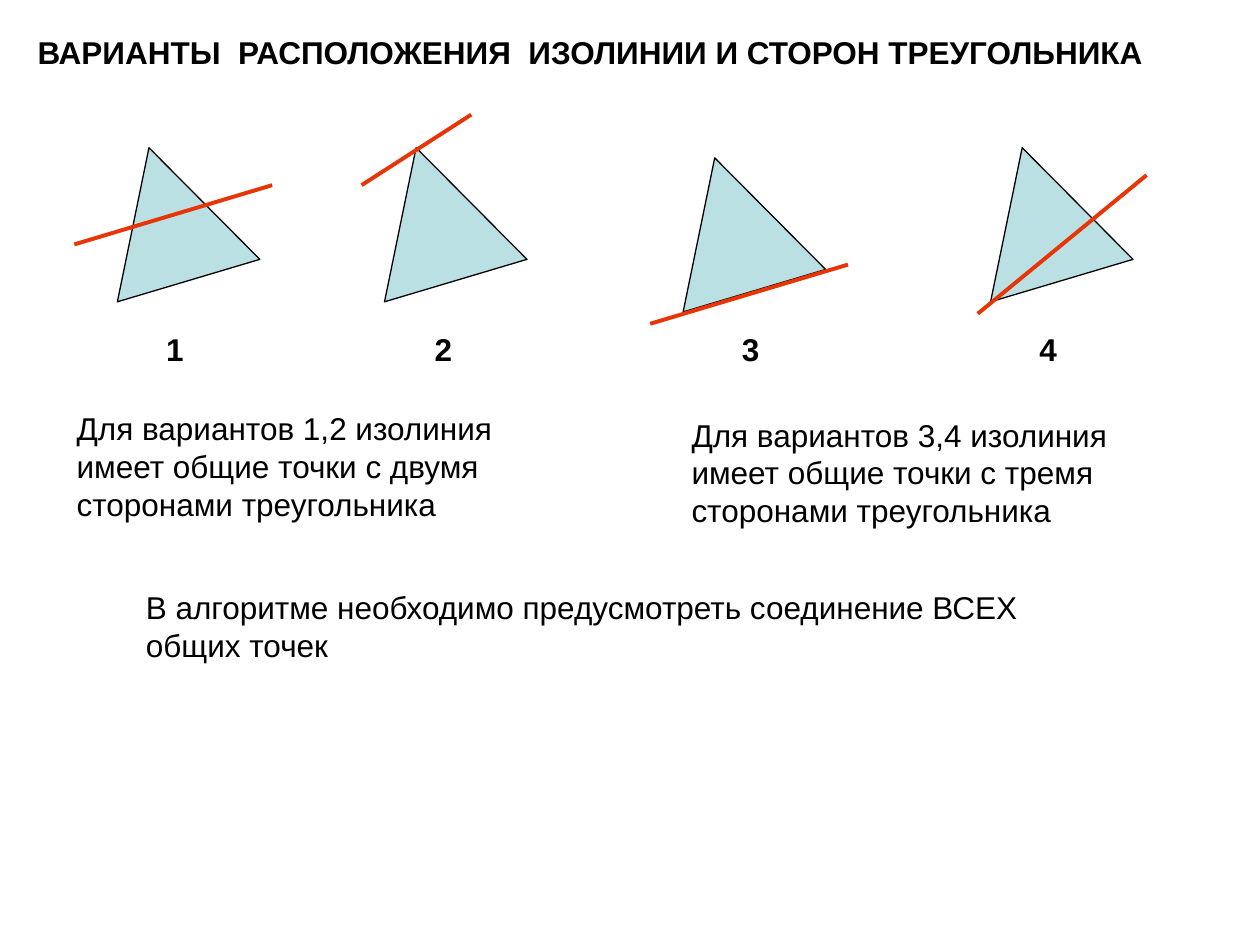
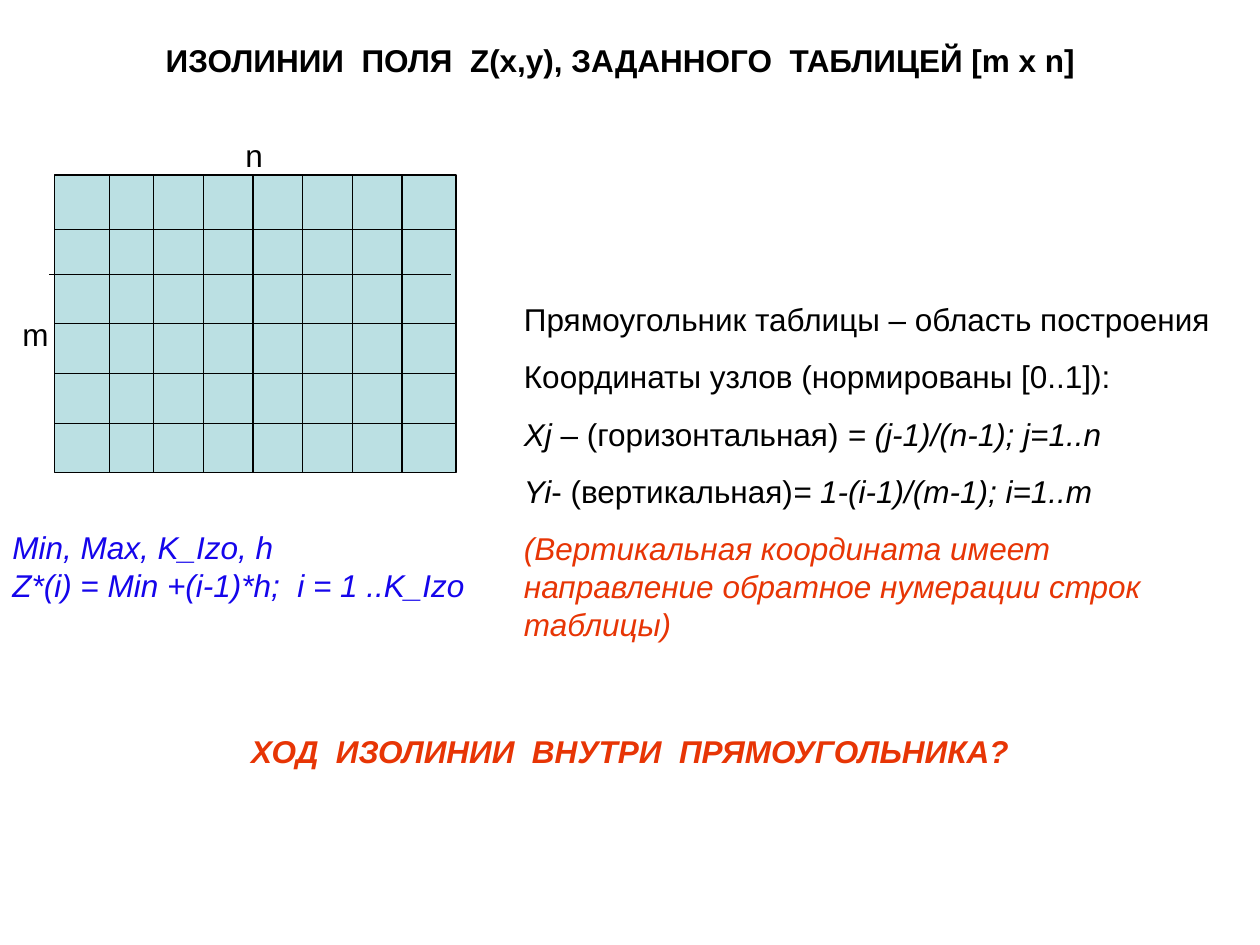
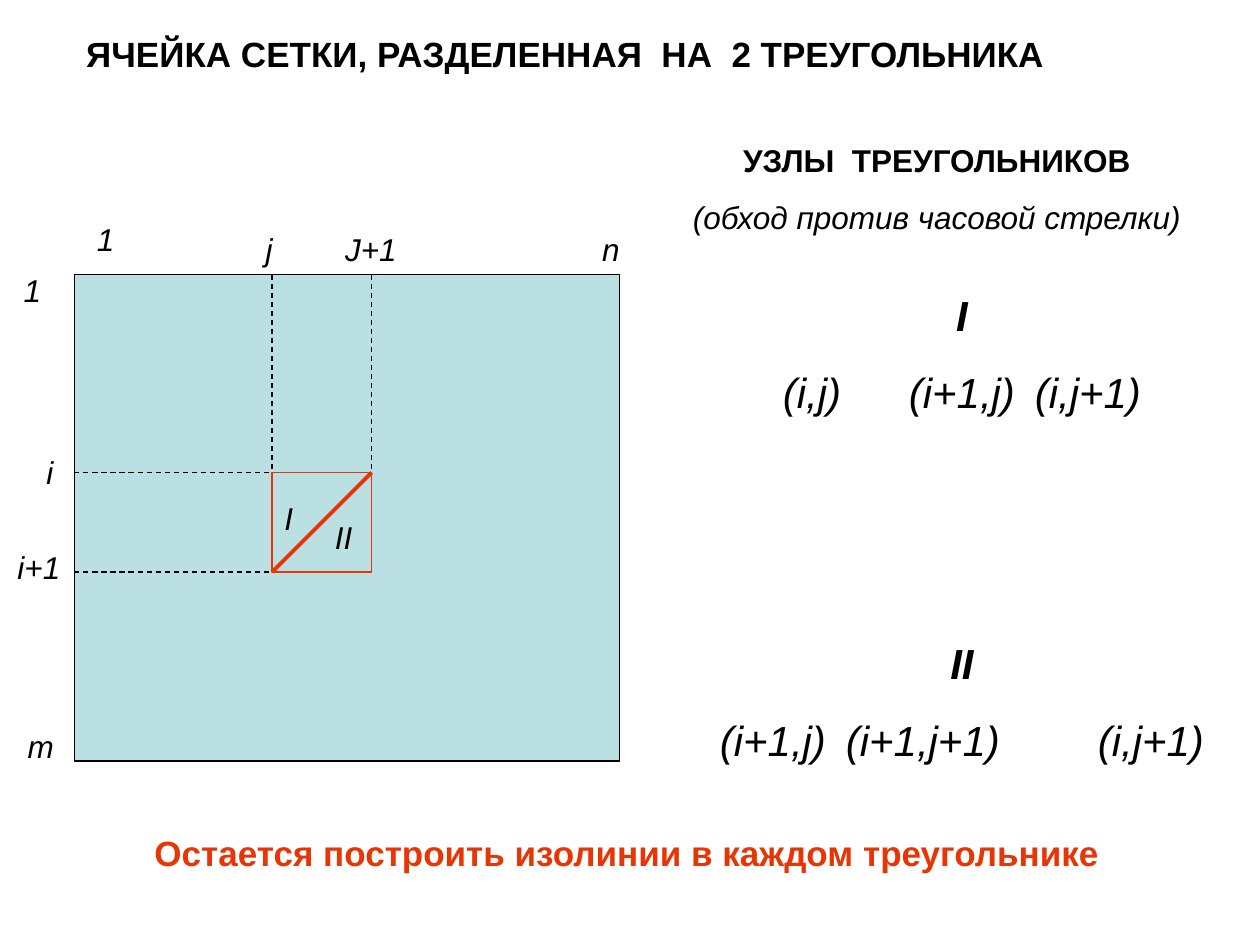
"""Build three slides on isolines crossing triangles and grid cells."""
from lxml.etree import SubElement
from pptx import Presentation
from pptx.dml.color import RGBColor
from pptx.enum.dml import MSO_LINE_DASH_STYLE as Dash
from pptx.enum.shapes import MSO_CONNECTOR as Connector, MSO_SHAPE as Shape
from pptx.enum.text import PP_ALIGN as Align
from pptx.oxml.ns import qn
from pptx.util import Inches, Pt

BLACK = RGBColor(0x00, 0x00, 0x00)
WHITE = RGBColor(0xFF, 0xFF, 0xFF)
AQUA = RGBColor(0xBB, 0xE0, 0xE3)
RED = RGBColor(0xE7, 0x35, 0x05)
BLUE = RGBColor(0x15, 0x05, 0xEB)
TITLE_SIZE = 20
FORMULA_SIZE = 24


class Painter:
    """Holds the shared style and draws on the current slide."""

    face = "Arial"
    size = 18
    thin = 0.75
    thick = 2.25

    def __init__(self):
        """Open an empty 10 by 7.5 inch deck."""
        self.deck = Presentation()
        self.deck.slide_width = Inches(10)
        self.deck.slide_height = Inches(7.5)
        self.page = None

    def new_page(self):
        """Start a blank white slide."""
        self.page = self.deck.slides.add_slide(self.deck.slide_layouts[6])
        self.page.background.fill.solid()
        self.page.background.fill.fore_color.rgb = WHITE

    def style(self, para, size, color, bold, italic):
        """Set the font of a whole paragraph."""
        font = para.font
        font.name, font.size = self.face, Pt(size)
        font.bold, font.italic = bold, italic
        font.color.rgb = color

    def text(self, left, top, width, height, *lines, size=size, color=BLACK,
             bold=False, italic=False, center=False, gap=11.2):
        """Add a text box with one paragraph for each line and return its paragraphs."""
        box = self.page.shapes.add_textbox(
            Inches(left), Inches(top), Inches(width), Inches(height))
        frame = box.text_frame
        frame.word_wrap = True
        for index, line in enumerate(lines):
            para = frame.add_paragraph() if index else frame.paragraphs[0]
            para.alignment = Align.CENTER if center else Align.LEFT
            para.space_before = Pt(gap if index else 0)
            self.style(para, size, color, bold, italic)
            para.add_run().text = line
        return frame.paragraphs

    def label(self, left, top, width, line, **look):
        """Add a one-line text box."""
        self.text(left, top, width, 0.4, line, **look)

    def shape(self, kind, left, top, width, height, color=BLACK, rotation=0):
        """Add an aqua shape with a thin outline."""
        shape = self.page.shapes.add_shape(
            kind, Inches(left), Inches(top), Inches(width), Inches(height))
        shape.shadow.inherit = False
        shape.rotation = rotation
        shape.fill.solid()
        shape.fill.fore_color.rgb = AQUA
        shape.line.color.rgb = color
        shape.line.width = Pt(self.thin)
        return shape

    def line(self, x1, y1, x2, y2, color=BLACK, weight=thin, dash=None):
        """Add a straight line without a shadow."""
        line = self.page.shapes.add_connector(
            Connector.STRAIGHT, Inches(x1), Inches(y1), Inches(x2), Inches(y2))
        line.line.color.rgb = color
        line.line.width = Pt(weight)
        if dash:
            line.line.dash_style = dash
        SubElement(line._element.spPr, qn("a:effectLst"))
        return line

    def isoline(self, *ends):
        """Add a thick red line."""
        return self.line(*ends, color=RED, weight=self.thick)

    def nodes(self, top, name, *points):
        """List the nodes of a triangle under its number."""
        heading, row = self.text(5.47, top, 4.33, 1.11, name, "\t".join(points),
                                 size=FORMULA_SIZE, italic=True, center=True, gap=15)
        heading.font.bold = True
        stops = SubElement(row._p.get_or_add_pPr(), qn("a:tabLst"))
        row._p.pPr.insert(1, stops)
        for inch in range(8):
            SubElement(stops, qn("a:tab"), pos=str(Inches(inch)), algn="l")


def spread(first, last, count):
    """Return evenly spaced positions from first to last."""
    return [first + (last - first) * index / (count - 1) for index in range(count)]


def draw_variants(painter):
    """Show four positions of an isoline against a triangle."""
    painter.new_page()
    painter.label(0.2, 0.21, 9.61,
                  "ВАРИАНТЫ  РАСПОЛОЖЕНИЯ  ИЗОЛИНИИ И СТОРОН ТРЕУГОЛЬНИКА", bold=True)
    variants = [
        (0.75, 1.15, 1.22, (0.59, 1.94, 2.16, 1.47)),
        (2.87, 1.15, 3.35, (2.87, 1.47, 3.74, 0.91)),
        (5.24, 1.23, 5.79, (5.16, 2.57, 6.73, 2.1)),
        (7.68, 1.15, 8.15, (7.76, 2.49, 9.1, 1.39)),
    ]
    for number, (left, top, label_left, ends) in enumerate(variants, 1):
        painter.shape(Shape.ISOSCELES_TRIANGLE, left, top, 1.18, 1.1, rotation=343.4)
        painter.isoline(*ends)
        painter.label(label_left, 2.57, 0.39, str(number), bold=True)
    for left, top, pair, sides in ((0.51, 3.2, "1,2", "двумя"), (5.39, 3.25, "3,4", "тремя")):
        painter.text(left, top, 3.54, 1, f"Для вариантов {pair} изолиния имеет общие "
                     f"точки с {sides} сторонами треугольника")
    painter.text(1.06, 4.62, 7.87, 0.7,
                 "В алгоритме необходимо предусмотреть соединение ВСЕХ общих точек")


def draw_table_field(painter):
    """Show the grid of the field and its node coordinates."""
    painter.new_page()
    painter.label(0.71, 0.28, 8.43, "ИЗОЛИНИИ  ПОЛЯ  Z(x,y), ЗАДАННОГО  ТАБЛИЦЕЙ [m x n]",
                  bold=True, center=True)
    left, top, width, height = 0.43, 1.39, 3.19, 2.36
    right, bottom = left + width, top + height
    field = painter.shape(Shape.RECTANGLE, left, top, width, height)
    painter.label(1.85, 1.03, 0.43, "n")
    painter.label(0.08, 2.45, 0.43, "m")
    painter.line(left, 1.82, right, 1.82)
    painter.line(0.39, 2.18, 3.58, 2.18)
    middle, *lower = spread(2.57, 3.36, 3)
    axis = painter.line(left, middle, right, middle)
    axis.begin_connect(field, 1)
    axis.end_connect(field, 3)
    for y in lower:
        painter.line(left, y, right, y)
    for x in [0.87, *spread(1.22, 3.19, 6)]:
        painter.line(x, top, x, bottom)
    painter.text(1.34, 5.76, 7.32, 0.86, "ХОД  ИЗОЛИНИИ  ВНУТРИ  ПРЯМОУГОЛЬНИКА?",
                 color=RED, bold=True, italic=True, center=True)
    painter.text(0, 4.14, 4.13, 0.7, "Min, Max, K_Izo, h",
                 "Z*(i) = Min +(i-1)*h;  i = 1 ..K_Izo", color=BLUE, italic=True, gap=0)
    paras = painter.text(
        4.06, 2.33, 5.71, 2.83,
        "Прямоугольник таблицы – область построения",
        "Координаты узлов (нормированы [0..1]):",
        "Xj", "Yi",
        "(Вертикальная координата имеет направление обратное нумерации строк таблицы)")
    endings = ((" – (горизонтальная) ", "= (j-1)/(n-1); j=1..n"),
               ("- (вертикальная)", "= 1-(i-1)/(m-1); i=1..m"))
    for para, (meaning, formula) in zip(paras[2:4], endings):
        para.add_run().text = meaning
        para.add_run().text = formula
        for span, italic in zip(para.runs, (True, False, True)):
            span.font.italic = italic
    painter.style(paras[4], painter.size, RED, False, True)


def draw_cell(painter):
    """Show a grid cell split into two triangles."""
    painter.new_page()
    left, top = 0.59, 2.18
    cell_left, cell_top, side = 2.16, 3.75, 0.79
    cell_right, cell_bottom = cell_left + side, cell_top + side
    painter.shape(Shape.RECTANGLE, left, top, 4.33, 3.86)
    painter.shape(Shape.RECTANGLE, cell_left, cell_top, side, side, color=RED)
    painter.isoline(cell_right, cell_top, cell_left, cell_bottom)
    labels = [
        (0.09, 2.1, 0.34, "1"), (0.12, 5.72, 0.49, "m"), (0.67, 1.7, 0.34, "1"),
        (4.68, 1.78, 0.34, "n"), (0.27, 3.55, 0.34, "i"), (0.04, 4.3, 0.65, "i+1"),
        (2.01, 1.78, 0.34, "j"), (2.64, 1.78, 0.71, "J+1"),
        (2.16, 3.91, 0.34, "I"), (2.56, 4.06, 0.55, "II"),
    ]
    for label in labels:
        painter.label(*label, italic=True)
    for y in (cell_top, cell_bottom):
        painter.line(left, y, cell_left, y, dash=Dash.DASH)
    for x in (cell_left, cell_right):
        painter.line(x, top, x, cell_top, dash=Dash.DASH)
    painter.text(0.27, 0.21, 8.51, 0.44, "ЯЧЕЙКА СЕТКИ, РАЗДЕЛЕННАЯ  НА  2 ТРЕУГОЛЬНИКА ",
                 size=TITLE_SIZE, bold=True, center=True)
    heading, remark = painter.text(5.31, 1.07, 4.25, 0.86, "УЗЛЫ  ТРЕУГОЛЬНИКОВ",
                                   "(обход против часовой стрелки)", center=True)
    heading.font.bold = True
    remark.font.italic = True
    painter.nodes(2.25, "I", "(i,j)", "(i+1,j)", "(i,j+1)")
    painter.nodes(5.01, "II", "(i+1,j)", "(i+1,j+1)", "(i,j+1)")
    painter.text(0.27, 6.55, 9.41, 0.44, "Остается построить изолинии в каждом треугольнике",
                 size=TITLE_SIZE, color=RED, bold=True, center=True)


def main():
    """Draw the slides and save the deck."""
    painter = Painter()
    draw_variants(painter)
    draw_table_field(painter)
    draw_cell(painter)
    painter.deck.save("out.pptx")


if __name__ == "__main__":
    main()
